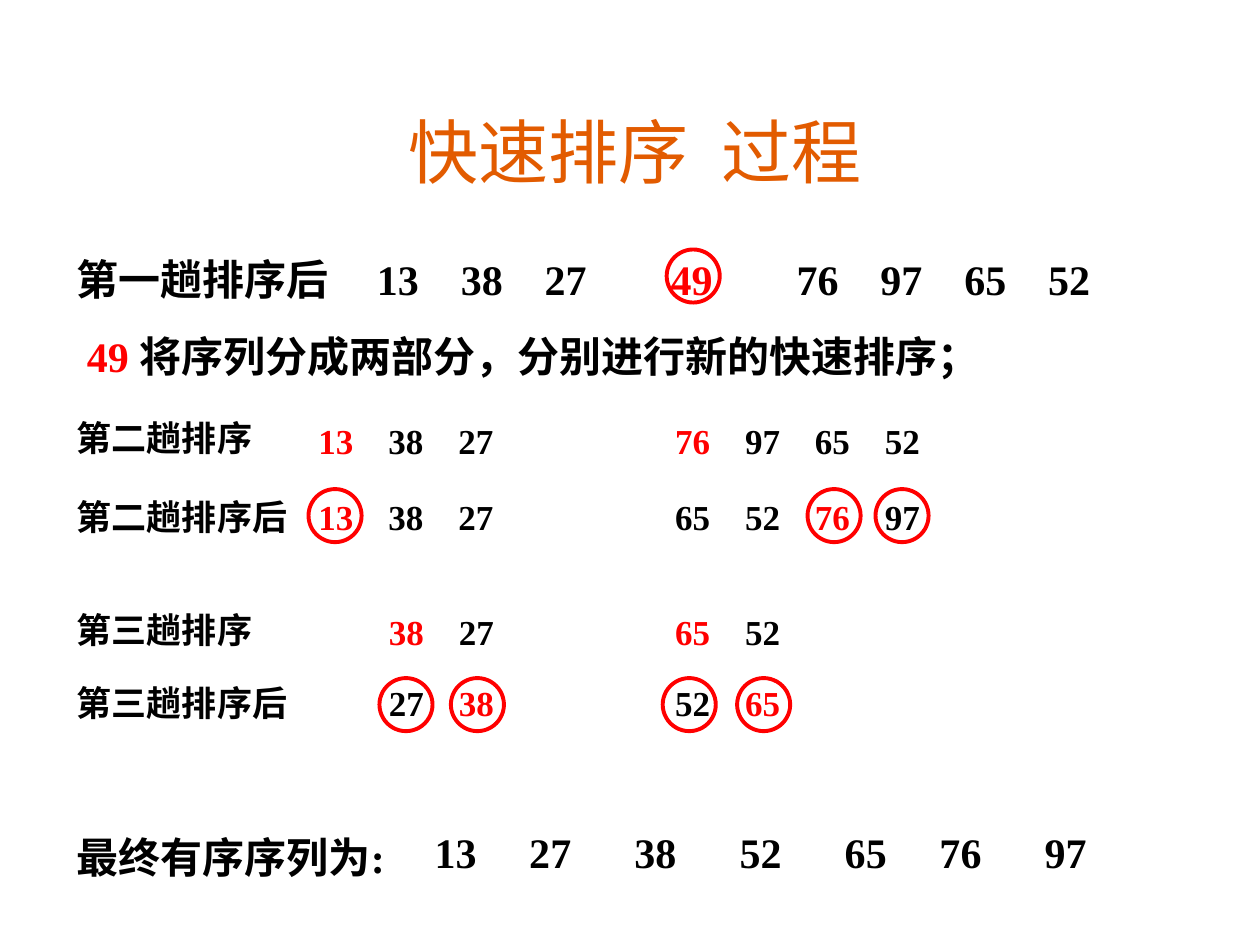
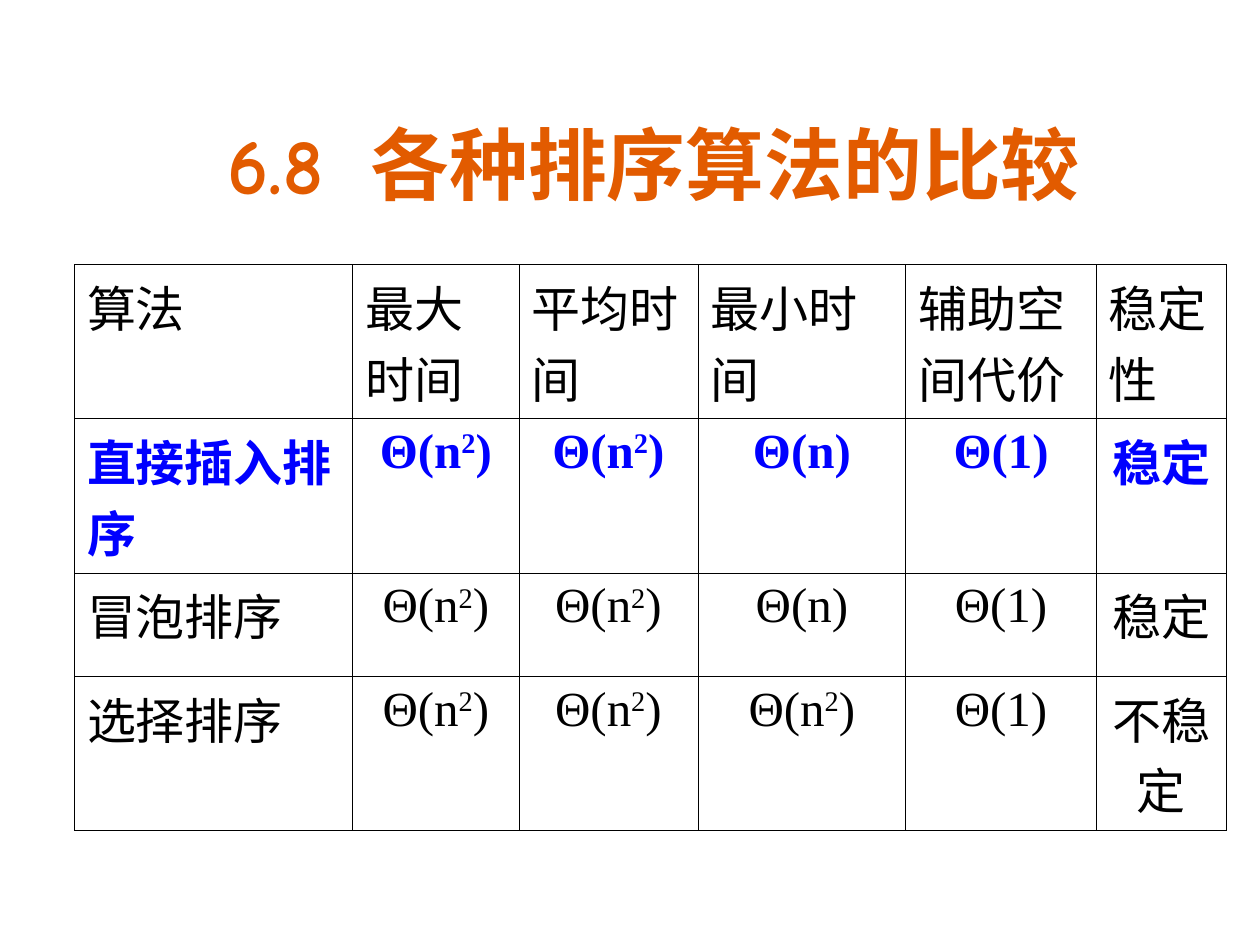
"""Build two slides on quick sort passes and the comparison of sorting algorithms."""
from itertools import accumulate

from lxml import etree
from pptx import Presentation
from pptx.dml.color import RGBColor
from pptx.enum.shapes import MSO_SHAPE
from pptx.enum.text import MSO_ANCHOR, MSO_AUTO_SIZE, PP_ALIGN
from pptx.oxml.ns import qn
from pptx.util import Cm, Pt

ORANGE = RGBColor(0xE2, 0x5B, 0x00)
BLACK = RGBColor(0x00, 0x00, 0x00)
RED = RGBColor(0xFF, 0x00, 0x00)
BLUE = RGBColor(0x00, 0x00, 0xFF)

CENTER, LEFT = PP_ALIGN.CENTER, PP_ALIGN.LEFT
BOTTOM = MSO_ANCHOR.BOTTOM
GROW, FIXED = MSO_AUTO_SIZE.SHAPE_TO_FIT_TEXT, MSO_AUTO_SIZE.NONE
OVAL = MSO_SHAPE.OVAL

TITLE_FONT, BODY_FONT = "Comic Neue", "Times New Roman"
TITLE_ONLY = 5
RING_SIZE = 1.07
LARGE, MEDIUM, CELL = 24, 20, 28

LABEL_LEFT, FIRST_LEFT, INNER_LEFT, SECOND_LEFT = 1.3, 6.17, 7.59, 13.36
LABEL_WIDTH = 5.08
PASS_STEP = 1.41


class Deck:
    """Hold the shared style and the current slide."""

    def __init__(self):
        self.prs = Presentation()
        self.prs.slide_width, self.prs.slide_height = Cm(25.4), Cm(19.05)
        self.slide = None

    def add_run(self, paragraph, text, color, **formats):
        run = paragraph.add_run()
        run.text = text
        run.font.color.rgb = color
        for name, value in formats.items():
            setattr(run.font, name, value)
        return run

    def start_slide(self, words, place, size, gap, bold=False):
        self.slide = self.prs.slides.add_slide(self.prs.slide_layouts[TITLE_ONLY])
        title = self.slide.shapes.title
        title.left, title.top, title.width, title.height = map(Cm, place)
        frame = title.text_frame
        frame.auto_size, frame.vertical_anchor = FIXED, BOTTOM
        paragraph = frame.paragraphs[0]
        paragraph.alignment = CENTER
        formats = {"name": TITLE_FONT, "size": Pt(size), "bold": bold}
        first, second = words
        self.add_run(paragraph, first, ORANGE, **formats)
        space = self.add_run(paragraph, " ", ORANGE, **formats)
        space.font._element.set("spc", str(gap * 100))
        self.add_run(paragraph, second, ORANGE, **formats)

    def text(self, left, top, width, parts, size, steps=()):
        height = 1.27 if size == LARGE else 1.12
        box = self.slide.shapes.add_textbox(Cm(left), Cm(top), Cm(width), Cm(height))
        frame = box.text_frame
        frame.word_wrap, frame.auto_size = True, GROW
        paragraph = frame.paragraphs[0]
        if steps:
            tabs = etree.SubElement(paragraph._p.get_or_add_pPr(), qn("a:tabLst"))
            for stop in accumulate(steps):
                etree.SubElement(tabs, qn("a:tab"), pos=str(Cm(stop)), algn="l")
        for content, color in parts:
            self.add_run(paragraph, content, color,
                         name=BODY_FONT, size=Pt(size), bold=True)

    def sequence(self, left, top, width, items, size, steps):
        """Write tabbed items, with those marked by a star in red."""
        parts = []
        for index, item in enumerate(items.split()):
            color = RED if item.startswith("*") else BLACK
            parts.append(("\t" * (index > 0) + item.lstrip("*"), color))
        self.text(left, top, width, parts, size, steps)

    def ring(self, left, top):
        ring = self.slide.shapes.add_shape(
            OVAL, Cm(left), Cm(top), Cm(RING_SIZE), Cm(RING_SIZE))
        ring.shadow.inherit = False
        ring.fill.background()
        ring.line.color.rgb = RED
        ring.line.width = Pt(2.25)

    def border(self, cell):
        properties = cell._tc.get_or_add_tcPr()
        for position, side in enumerate(("lnL", "lnR", "lnT", "lnB")):
            line = etree.Element(qn(f"a:{side}"), w=str(Pt(0.45)))
            fill = etree.SubElement(line, qn("a:solidFill"))
            etree.SubElement(fill, qn("a:srgbClr"), val=str(BLACK))
            properties.insert(position, line)

    def table(self, left, top, widths, heights, rows, highlight):
        grid = self.slide.shapes.add_table(
            len(rows), len(widths), Cm(left), Cm(top),
            Cm(sum(widths)), Cm(sum(heights))).table
        grid.first_row = grid.horz_banding = False
        for column, width in zip(grid.columns, widths):
            column.width = Cm(width)
        for r, (row, height) in enumerate(zip(rows, heights)):
            grid.rows[r].height = Cm(height)
            for c, content in enumerate(row):
                cell = grid.cell(r, c)
                cell.fill.background()
                self.border(cell)
                paragraph = cell.text_frame.paragraphs[0]
                paragraph.alignment = CENTER if r and c else LEFT
                for index, piece in enumerate(content.split("^")):
                    self.cell_piece(paragraph, piece, index == 1, r == highlight)

    def cell_piece(self, paragraph, piece, raised, strong):
        """Write a piece of a cell, raising its first character if asked."""
        formats = {"name": BODY_FONT, "size": Pt(CELL), "bold": strong}
        color = BLUE if strong else BLACK
        if raised:
            power = self.add_run(paragraph, piece[0], color, **formats)
            power.font._element.set("baseline", "30000")
            piece = piece[1:]
        self.add_run(paragraph, piece, color, **formats)


def quick_sort_slide(deck):
    deck.start_slide(("快速排序", "过程"), (1.9, 1.9, 21.8, 2.1), 40, 10)
    near, far = 1.69, 2.54
    deck.sequence(LABEL_LEFT, 4.98, 22.4,
                  "第一趟排序后 13 38 27 *49 76 97 65 52", LARGE,
                  (6.05, near, near, far, far, near, near, near))
    deck.text(1.5, 6.53, 19.25,
              [("49 ", RED), ("将序列分成两部分，分别进行新的快速排序；", BLACK)], LARGE)

    passes = [
        ("第二趟排序", 8.28, 8.33, FIRST_LEFT, "*13 38 27", "*76 97 65 52"),
        ("第二趟排序后", 9.86, 9.86, FIRST_LEFT, "*13 38 27", "65 52 *76 97"),
        ("第三趟排序", 12.14, 12.19, INNER_LEFT, "*38 27", "*65 52"),
        ("第三趟排序后", 13.61, 13.61, INNER_LEFT, "27 *38", "52 *65"),
    ]
    for label, label_top, top, left, smaller, larger in passes:
        deck.text(LABEL_LEFT, label_top, LABEL_WIDTH, [(label, BLACK)], MEDIUM)
        for start, width, items in ((left, 4.88, smaller), (SECOND_LEFT, 7.62, larger)):
            deck.sequence(start, top, width, items, MEDIUM, [PASS_STEP] * 3)

    rings = {
        5.03: (13.44,),
        9.86: (6.22, 16.28, 17.65),
        13.67: (7.65, 9.09, 13.36, 14.86),
    }
    for top, lefts in rings.items():
        for left in lefts:
            deck.ring(left, top)

    deck.text(LABEL_LEFT, 16.64, 7.19, [("最终有序序列为:", BLACK)], LARGE)
    short, long = 1.91, 2.12
    deck.sequence(8.51, 16.54, 13.97, "13 27 38 52 65 76 97", LARGE,
                  (short, long, long, long, short, long))


def comparison_slide(deck):
    deck.start_slide(("6.8", "各种排序算法的比较"), (1.4, 1.19, 23.55, 3.18), 45, 11, True)
    square, linear, constant = "Θ(n^2)", "Θ(n)", "Θ(1)"
    rows = [
        ("算法", "最大时间", "平均时间", "最小时间", "辅助空间代价", "稳定性"),
        ("直接插入排序", square, square, linear, constant, "稳定"),
        ("冒泡排序", square, square, linear, constant, "稳定"),
        ("选择排序", square, square, square, constant, "不稳定"),
    ]
    deck.table(1.5, 5.33, (5.61, 3.35, 3.61, 4.19, 3.84, 2.62),
               (2.62, 2.62, 2.08, 2.62), rows, highlight=1)


def main():
    deck = Deck()
    quick_sort_slide(deck)
    comparison_slide(deck)
    deck.prs.save("out.pptx")


if __name__ == "__main__":
    main()
